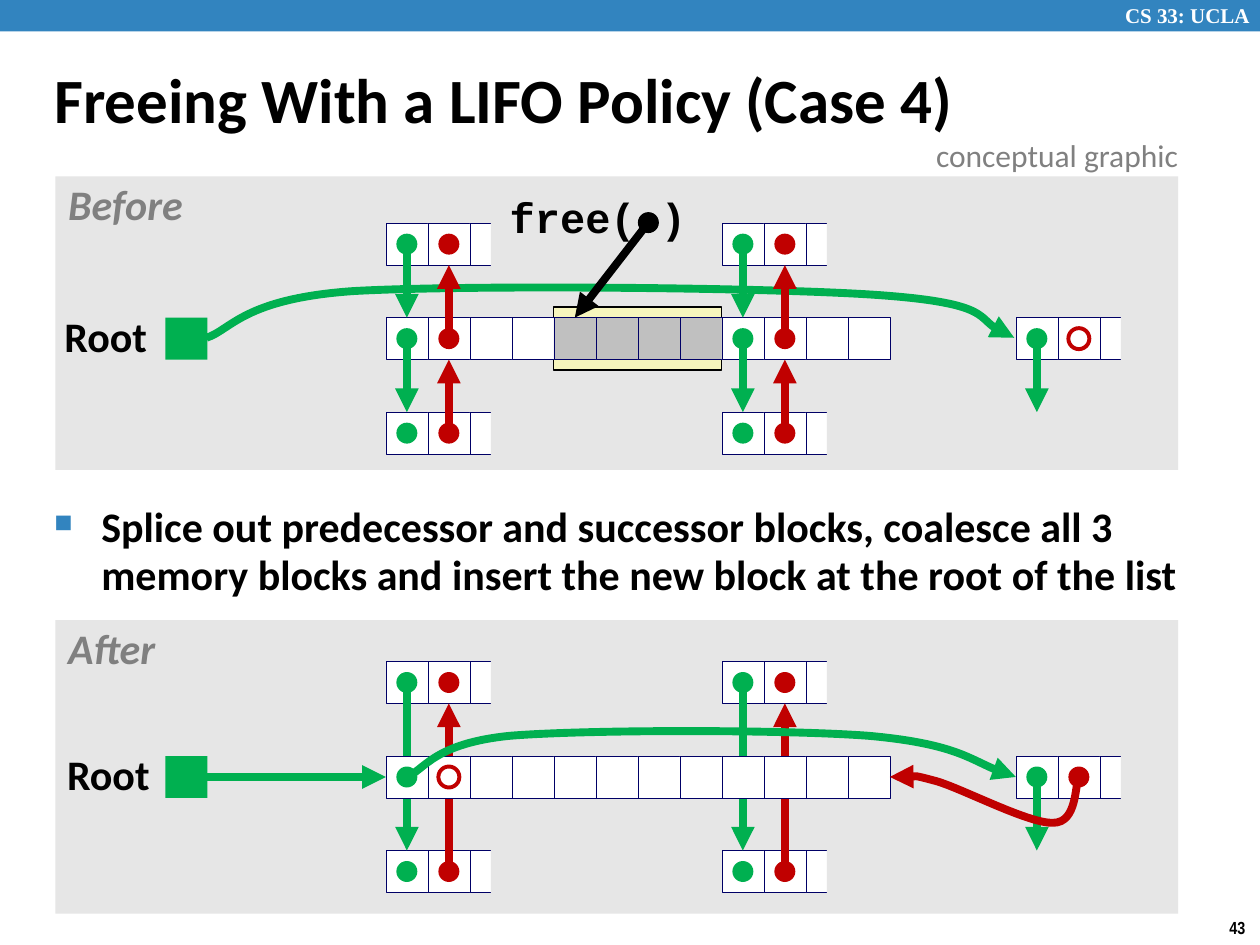
from lxml import etree
from pptx import Presentation
from pptx.dml.color import RGBColor
from pptx.enum.shapes import MSO_CONNECTOR, MSO_SHAPE
from pptx.enum.text import MSO_ANCHOR, PP_ALIGN
from pptx.oxml.ns import qn
from pptx.util import Pt

RECT, OVAL, STRAIGHT = MSO_SHAPE.RECTANGLE, MSO_SHAPE.OVAL, MSO_CONNECTOR.STRAIGHT
STROKE = "stroke"
LEFT, CENTER, MIDDLE, TOP = PP_ALIGN.LEFT, PP_ALIGN.CENTER, MSO_ANCHOR.MIDDLE, MSO_ANCHOR.TOP
COLORS = {
    "blue": "3284BF", "white": "FFFFFF", "black": "000000", "panel": "E6E6E6",
    "label": "808080", "green": "00B050", "red": "C00000", "navy": "000066",
    "freed": "C0C0C0", "band": "F6F5BD",
}
RGB = {name: RGBColor.from_string(value) for name, value in COLORS.items()}

deck = Presentation()
deck.slide_width, deck.slide_height = Pt(720), Pt(540)
page = deck.slides.add_slide(deck.slide_layouts[5])


def write(text, left, top, width, height, box=None, size=24, font="Calibri", color="black",
          bold=True, italic=False, align=LEFT, anchor=TOP, spacing=None, inset=None,
          wrap=False, bullet=None):
    """Write one paragraph in a new text box, or in the given placeholder."""
    place = [Pt(value) for value in (left, top, width, height)]
    if box is None:
        box = page.shapes.add_textbox(*place)
    box.left, box.top, box.width, box.height = place
    frame = box.text_frame
    frame.word_wrap, frame.vertical_anchor = wrap, anchor
    if inset is not None:
        frame.margin_left = frame.margin_right = Pt(inset)
        frame.margin_top = frame.margin_bottom = Pt(inset)
    para = frame.paragraphs[0]
    para.alignment, para.line_spacing = align, spacing
    if bullet:
        props = para._p.get_or_add_pPr()
        props.set("marL", str(Pt(27)))
        props.set("indent", str(-Pt(27)))
        mark_color = etree.SubElement(props, qn("a:buClr"))
        etree.SubElement(mark_color, qn("a:srgbClr"), val=COLORS["blue"])
        etree.SubElement(props, qn("a:buSzPct"), val="60000")
        etree.SubElement(props, qn("a:buChar"), char=bullet)
    span = para.add_run()
    span.text = text
    span.font.name, span.font.size = font, Pt(size)
    span.font.bold, span.font.italic = bold, italic
    span.font.color.rgb = RGB[color]


def draw(kind, *numbers, fill=None, line=None, weight=0.25):
    """Draw a shape (left, top, width, height) or an arrow (x, y of each Bezier point)."""
    values = [Pt(number) for number in numbers]
    if kind != STROKE:
        item = page.shapes.add_shape(kind, *values)
    elif len(values) == 4:
        item = page.shapes.add_connector(STRAIGHT, *values)
        weight = 4.5
    else:
        points = list(zip(values[::2], values[1::2]))
        builder = page.shapes.build_freeform(*points[0], scale=1.0)
        builder.add_line_segments(points[1:], close=False)
        item = builder.convert_to_shape()
        segments = item._element.xpath(".//a:lnTo")
        for start in range(0, len(segments), 3):
            curve = etree.Element(qn("a:cubicBezTo"))
            segments[start].addprevious(curve)
            for segment in segments[start:start + 3]:
                curve.append(segment[0])
                segment.getparent().remove(segment)
        weight = 4.5
    if line:
        item.line.color.rgb, item.line.width = RGB[line], Pt(weight)
    else:
        item.line.fill.background()
    if kind == STROKE:
        etree.SubElement(item.line._get_or_add_ln(), qn("a:tailEnd"), type="triangle")
    if kind == STROKE and len(values) == 4:
        etree.SubElement(item._element.spPr, qn("a:effectLst"))
        return
    item.shadow.inherit = False
    if fill:
        item.fill.solid()
        item.fill.fore_color.rgb = RGB[fill]
    else:
        item.fill.background()


# Grid of memory words
CELL, DOT, GRID_LEFT, ROW_GAP = 24, 12, 220.5, 54
BEFORE, AFTER = 181.5, 432
NEIGHBORS, TAIL_BLOCK = (0, 8), 15
column_left = [GRID_LEFT + CELL * column for column in range(18)]
column_center = [left + CELL / 2 for left in column_left]

# Header bar, title and page number
draw(RECT, 0, 0, 720, 18, fill="blue")
write("CS 33: UCLA", 635.8, -2.2, 89.3, 21.6, size=12, font="Times New Roman", color="white")
write("43", 695.5, 520.6, 24.5, 19.4, size=10, font="Arial Narrow")
write("Freeing With a LIFO Policy (Case 4)", 23.8, 28.1, 686, 62, box=page.shapes.title,
      size=36, anchor=MIDDLE, spacing=0.87, wrap=True)
write("conceptual graphic", 527.8, 74.2, 156.2, 28.8, size=18, color="label", bold=False)
write("Splice out predecessor and successor blocks, coalesce all 3 memory blocks and insert "
      "the new block at the root of the list", 23.8, 284.4, 667.4, 89.3,
      spacing=0.95, wrap=True, bullet="■")

# Panels, roots and the linked blocks cut off at the right
for middle, panel_top in ((BEFORE, 100.8), (AFTER, 354.4)):
    draw(RECT, 31.7, panel_top, 641.5, 167.8, fill="panel")
    draw(RECT, 94.5, middle, CELL, CELL, fill="green")
    stubs = [(column, middle + shift) for column in NEIGHBORS for shift in (-ROW_GAP, ROW_GAP)]
    for column, top in stubs + [(TAIL_BLOCK, middle)]:
        for left in column_left[column:column + 3]:
            draw(RECT, left, top, CELL, CELL, fill="white", line="navy")
        draw(RECT, column_left[column + 2] + CELL / 2, top - 6, CELL, CELL + 12, fill="panel")

# Links that run behind the coalesced block
for column in NEIGHBORS:
    next_x, previous_x = column_center[column:column + 2]
    draw(STROKE, next_x, AFTER - 42, next_x, AFTER + ROW_GAP, line="green")
    draw(STROKE, previous_x, AFTER + 66, previous_x, AFTER - 30, line="red")

# Memory rows, with the block being freed
draw(RECT, column_left[4], BEFORE - 6, 4 * CELL, CELL + 12, fill="band", line="black", weight=0.75)
for middle in (BEFORE, AFTER):
    for column, left in enumerate(column_left[:12]):
        freed = middle == BEFORE and 4 <= column < 8
        draw(RECT, left, middle, CELL, CELL, fill="freed" if freed else "white", line="navy")

# Links before the free
draw(STROKE, 118, 193, 132, 188.6, 139, 170.6, 202.3, 166.3, 266.4, 162.7, 437, 164.2,
     500.4, 168.5, 563, 172.8, 563, 187.9, 579.6, 193, line="green")
for column in NEIGHBORS:
    next_x, previous_x = column_center[column:column + 2]
    for start, end in ((-42, 0), (12, ROW_GAP)):
        draw(STROKE, next_x, BEFORE + start, next_x, BEFORE + end, line="green")
    for start, end in ((66, 24), (12, -30)):
        draw(STROKE, previous_x, BEFORE + start, previous_x, BEFORE + end, line="red")

# Pointer dots, with rings for null pointers
for middle in (BEFORE, AFTER):
    tail_x = column_center[TAIL_BLOCK]
    draw(STROKE, tail_x, middle + 12, tail_x, middle + ROW_GAP, line="green")
    dots = [(column, shift) for column in NEIGHBORS for shift in (-ROW_GAP, 0, ROW_GAP)]
    for column, shift in dots + [(TAIL_BLOCK, 0)]:
        if middle == AFTER and column == 8 and shift == 0:
            continue
        top = middle + shift + 6
        draw(OVAL, column_left[column] + 6, top, DOT, DOT, fill="green")
        null_column = TAIL_BLOCK if middle == BEFORE else 0
        if column == null_column and shift == 0:
            draw(OVAL, column_left[column + 1] + 6, top, DOT, DOT, line="red", weight=2.25)
        else:
            draw(OVAL, column_left[column + 1] + 6, top, DOT, DOT, fill="red")

# Links after the free
draw(STROKE, 112.5, 444, GRID_LEFT, 444, line="green")
draw(STROKE, 232.5, 444, 242.6, 440, 247.7, 424.8, 291.6, 420.5, 335.5, 416.9, 447.8, 416.9,
     496.1, 420.5, 544.3, 424.8, 563, 439.2, 580.5, 444, line="green")
draw(STROKE, 616.5, 444, 614.2, 448.6, 615.6, 470.2, 601.9, 470.2, 588.2, 470.9, 550, 450.7,
     535, 446.4, 519.1, 442.1, 514, 444, 508.5, 444, line="red")

# Call to free and its argument
write("free( )", 287.3, 109.4, 108.7, 33.8, font="Courier New", align=CENTER, spacing=0.9, inset=3.6)
draw(OVAL, 364.5, 121.2, DOT, DOT, fill="black")
draw(STROKE, 370.5, 127.2, 328.5, 181.5, line="black")

# Panel labels
for text, left, top, width, color in (
        ("Root", 33.1, 177.1, 54.7, "black"), ("Before", 34.6, 101.5, 74.2, "label"),
        ("Root", 34.6, 427.7, 54.7, "black"), ("After", 34.6, 355.7, 58.3, "label")):
    write(text, left, top, width, 33.8, color=color, italic=color == "label",
          align=CENTER, spacing=0.9, inset=3.6)

deck.save("out.pptx")
